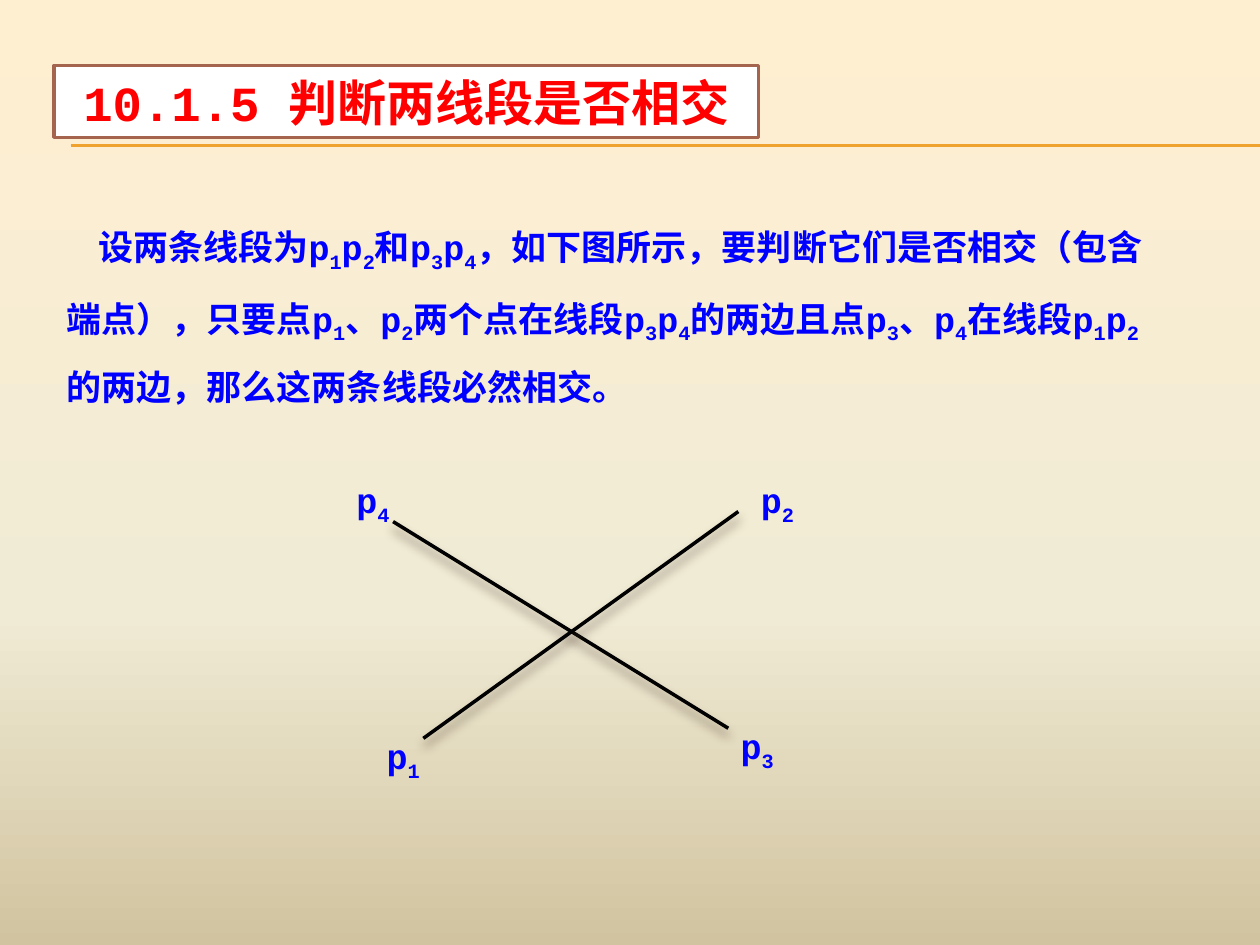
from copy import deepcopy
from itertools import groupby

from pptx import Presentation
from pptx.dml.color import RGBColor
from pptx.enum.shapes import MSO_CONNECTOR
from pptx.enum.text import MSO_ANCHOR, PP_ALIGN
from pptx.oxml import parse_xml
from pptx.oxml.ns import nsdecls, qn
from pptx.util import Inches, Pt

RED = RGBColor(0xFF, 0x00, 0x00)
BLUE = RGBColor(0x00, 0x00, 0xFF)
BLACK = RGBColor(0x00, 0x00, 0x00)
WHITE = RGBColor(0xFF, 0xFF, 0xFF)
ORANGE = RGBColor(0xF0, 0xA2, 0x2E)
BROWN = RGBColor(0xA5, 0x64, 0x4E)
SHADOW = RGBColor(0x4E, 0x3B, 0x30)
BACKGROUND = [
    (0, RGBColor(0xFF, 0xEF, 0xD1)),
    (0.65, RGBColor(0xF0, 0xEB, 0xD5)),
    (1, RGBColor(0xD1, 0xC3, 0x9F)),
]

BODY = (
    "设两条线段为p1p2和p3p4，如下图所示，要判断它们是否相交（包含端点），"
    "只要点p1、p2两个点在线段p3p4的两边且点p3、p4在线段p1p2的两边，"
    "那么这两条线段必然相交。"
)
SEGMENTS = [(3.12, 4.14, 5.78, 5.78), (3.36, 5.86, 5.86, 4.06)]
POINTS = [("p3", 5.78, 5.7), ("p1", 2.97, 5.78), ("p2", 5.94, 3.75), ("p4", 2.73, 3.75)]


class SlideBuilder:
    font = "Courier New"

    def __init__(self, slide):
        self.s = slide

    def background(self, stops):
        fill = self.s.background.fill
        fill.gradient()
        fill.gradient_angle = 270
        first = next(self.s.element.iter(qn("a:gs")))
        first.addnext(deepcopy(first))
        for stop, (position, color) in zip(fill.gradient_stops, stops):
            stop.position = position
            stop.color.rgb = color

    def style(self, p, size, color):
        p.font.name = self.font
        p.font.size = Pt(size)
        p.font.bold = True
        p.font.color.rgb = color

    def title(self, text, x, y, w, h):
        sp = self.s.shapes.title
        sp.left, sp.top, sp.width, sp.height = map(Inches, (x, y, w, h))
        sp.fill.solid()
        sp.fill.fore_color.rgb = WHITE
        sp.line.color.rgb = BROWN
        sp.line.width = Pt(2)
        tf = sp.text_frame
        tf.text = text
        tf.vertical_anchor = MSO_ANCHOR.MIDDLE
        p = tf.paragraphs[0]
        p.alignment = PP_ALIGN.CENTER
        self.style(p, 28, RED)

    def text(self, text, x, y, w, h, spacing=1.0, indent=0):
        sp = self.s.shapes.add_textbox(*map(Inches, (x, y, w, h)))
        tf = sp.text_frame
        tf.word_wrap = True
        p = tf.paragraphs[0]
        p.line_spacing = spacing
        p._p.get_or_add_pPr().set("indent", str(Inches(indent)))
        self.style(p, 20, BLUE)
        for subscript, chars in groupby(text, str.isdigit):
            r = p.add_run()
            r.text = "".join(chars)
            if subscript:
                r._r.get_or_add_rPr().set("baseline", "-25000")

    def line(self, x1, y1, x2, y2, color, width, shadow=False):
        sp = self.s.shapes.add_connector(
            MSO_CONNECTOR.STRAIGHT, *map(Inches, (x1, y1, x2, y2))
        )
        sp.line.color.rgb = color
        sp.line.width = Pt(width)
        effect = (
            f'<a:outerShdw blurRad="{Pt(6)}" dist="{Pt(4)}" dir="5400000" rotWithShape="0">'
            f'<a:srgbClr val="{SHADOW}"><a:alpha val="60000"/></a:srgbClr></a:outerShdw>'
        ) if shadow else ""
        sp._element.spPr.append(
            parse_xml(f'<a:effectLst {nsdecls("a")}>{effect}</a:effectLst>')
        )


def main():
    prs = Presentation()
    prs.slide_width, prs.slide_height = Inches(10), Inches(7.5)
    b = SlideBuilder(prs.slides.add_slide(prs.slide_layouts[5]))
    b.background(BACKGROUND)
    for y in (1.15, 1.16):
        b.line(0.56, y, 10, y, ORANGE, 0.75)
    b.title("10.1.5 判断两线段是否相交", 0.43, 0.52, 5.59, 0.57)
    b.text(BODY, 0.43, 1.55, 8.98, 1.62, spacing=1.5, indent=0.25)
    for segment in SEGMENTS:
        b.line(*segment, BLACK, 2, shadow=True)
    for name, x, y in POINTS:
        b.text(name, x, y, 0.47, 0.44)
    prs.save("out.pptx")


if __name__ == "__main__":
    main()
